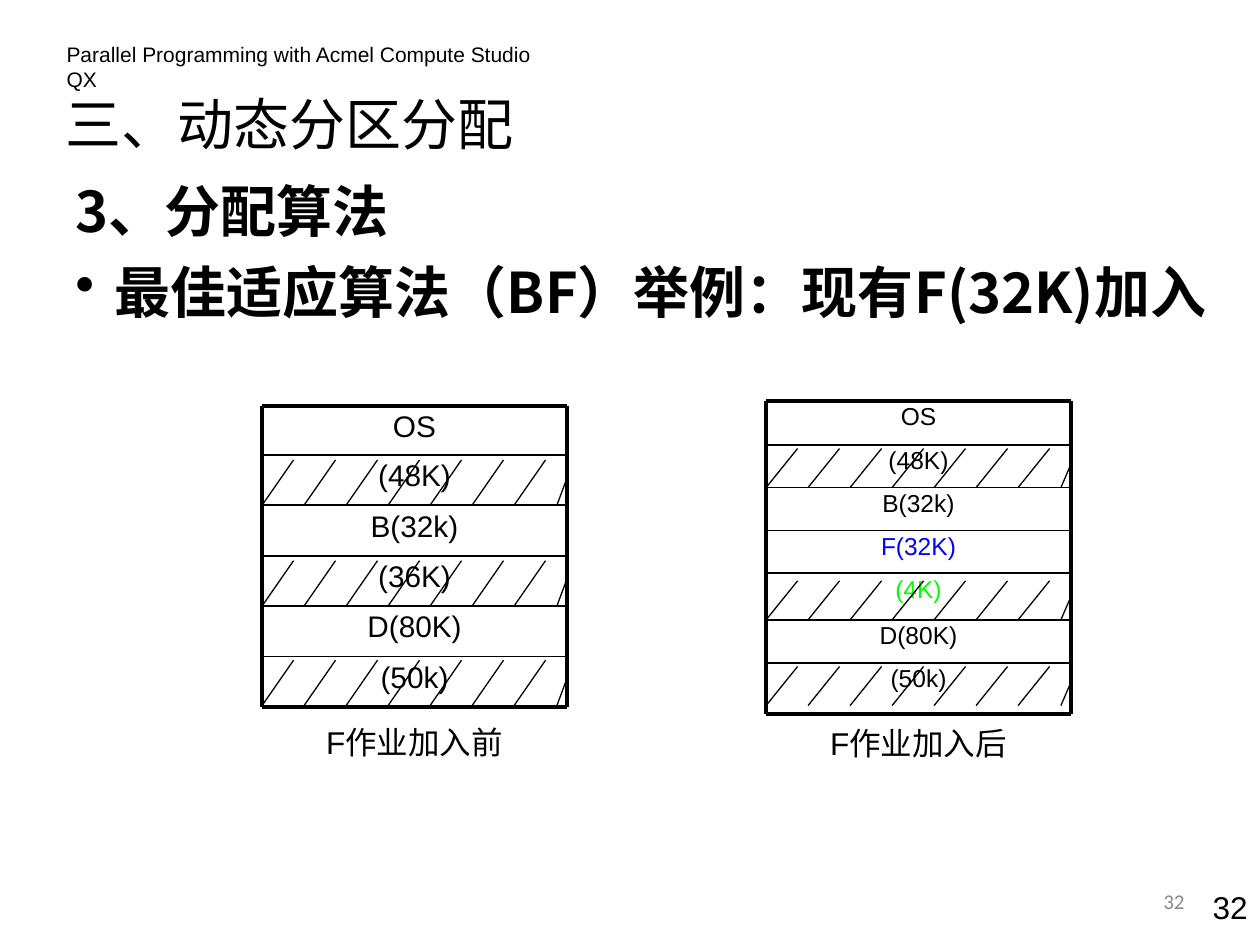
from dataclasses import dataclass

from lxml.etree import SubElement
from pptx import Presentation
from pptx.dml.color import RGBColor
from pptx.enum.shapes import MSO_CONNECTOR
from pptx.enum.text import MSO_ANCHOR, PP_ALIGN
from pptx.oxml.ns import qn
from pptx.util import Inches, Pt


@dataclass(frozen=True)
class Theme:
    black: str = "000000"
    gray: str = "898989"
    blue: str = "0000FF"
    green: str = "00FF00"
    latin: str = "Arial"
    han: str = "Noto Sans CJK SC"
    number: str = "Calibri"
    head: int = 32
    label: int = 18
    small: int = 12
    frame: float = 2.25
    rule: float = 1
    hatch: float = 0.75


theme = Theme()


def write(shapes, box, lines, size, color=theme.black, face=theme.latin,
          align=PP_ALIGN.LEFT, before=0, bold=False, spacing=None):
    """Add a wrapping text box, one paragraph for each line."""
    frame = shapes.add_textbox(*map(Inches, box)).text_frame
    frame.word_wrap = True
    for index, line in enumerate(lines):
        para = frame.add_paragraph() if index else frame.paragraphs[0]
        para.text = line
        para.alignment = align
        para.space_before = Pt(before)
        if spacing:
            para.line_spacing = spacing
        font = para.font
        font.name, font.size, font.bold = face, Pt(size), bold
        font.color.rgb = RGBColor.from_string(color)
        props = para._p.get_or_add_pPr().find(qn("a:defRPr"))
        SubElement(props, qn("a:ea"), typeface=theme.han)
    return frame


def draw(shapes, start, end, width):
    """Add a straight black line between two points."""
    line = shapes.add_connector(
        MSO_CONNECTOR.STRAIGHT, *map(Inches, (*start, *end)))
    line.line.color.rgb = RGBColor.from_string(theme.black)
    line.line.width = Pt(width)
    SubElement(line._element.spPr, qn("a:effectLst"))


deck = Presentation()
deck.slide_width, deck.slide_height = Inches(10), Inches(7.5)
slide = deck.slides.add_slide(deck.slide_layouts[6])
shapes = slide.shapes

# Headings and page numbers
write(shapes, (0.43, 0.28, 4.1, 0.3),
      ["Parallel Programming with Acmel Compute Studio QX"], theme.small)
title = write(shapes, (0.42, 0.6, 5.67, 0.75), ["三、动态分区分配"],
              theme.head, face=theme.han)
title.vertical_anchor = MSO_ANCHOR.MIDDLE
write(shapes, (9.33, 7, 0.67, 0.4), ["32"], theme.label,
      align=PP_ALIGN.RIGHT, before=11.2)
body = write(shapes, (0.5, 1.35, 9.5, 2.58),
             ["3、分配算法", "最佳适应算法（BF）举例：现有F(32K)加入"],
             theme.head, face=theme.han, before=8, bold=True)
for para in body.paragraphs:
    props = para._p.get_or_add_pPr()
    props.set("marL", str(Inches(0.31)))
    props.set("indent", str(Inches(-0.31)))
bullet = props.makeelement(qn("a:buChar"), {"char": "•"})
props.find(qn("a:defRPr")).addprevious(bullet)
page = write(shapes, (7.17, 6.95, 2.33, 0.4), ["32"], theme.small,
             theme.gray, theme.number, PP_ALIGN.RIGHT)
page.vertical_anchor = MSO_ANCHOR.MIDDLE

# Memory maps: left, row edges, row height, hatch height, type size,
# line spacing, labels, caption, caption top
maps = [
    (2.08, [3.22, 3.61, 4.01, 4.41, 4.81, 5.21, 5.61], 0.4, 0.36, 17, 0.9,
     ["OS", "(48K)", "B(32k)", "(36K)", "D(80K)", "(50k)"],
     "F作业加入前", 5.69),
    (6.08, [3.18, 3.53, 3.87, 4.21, 4.55, 4.92, 5.26, 5.67], 0.34, 0.31, 14,
     0.8, ["OS", "(48K)", "B(32k)", "F(32K)", "(4K)", "D(80K)", "(50k)"],
     "F作业加入后", 5.7),
]
tints = {"F(32K)": theme.blue, "(4K)": theme.green}
wide = 2.42
floor = 5.6  # lowest point of any hatching

for left, edges, tall, rise, size, spacing, labels, caption, under in maps:
    group = shapes.add_group_shape().shapes
    right = left + wide
    first, last = edges[0], edges[-1]

    for label, top, below in zip(labels, edges, edges[1:]):
        write(group, (left, top, wide, tall), [label], size,
              tints.get(label, theme.black), align=PP_ALIGN.CENTER,
              before=5, spacing=spacing)
        if label.startswith("("):  # free space
            foot = min(below, floor)
            for step in range(7):
                x = left + step / 3
                draw(group, (x + 0.25, foot - rise), (x, foot), theme.hatch)
            draw(group, (right, foot - 0.6 * rise), (right - 0.08, foot),
                 theme.hatch)

    for edge in edges:
        width = theme.frame if edge in (first, last) else theme.rule
        draw(group, (left, edge), (right, edge), width)
    for side in (left, right):
        draw(group, (side, first), (side, last), theme.frame)
    write(group, (left, under, wide, 0.4), [caption], theme.label,
          align=PP_ALIGN.CENTER, before=11.2)

deck.save("out.pptx")
